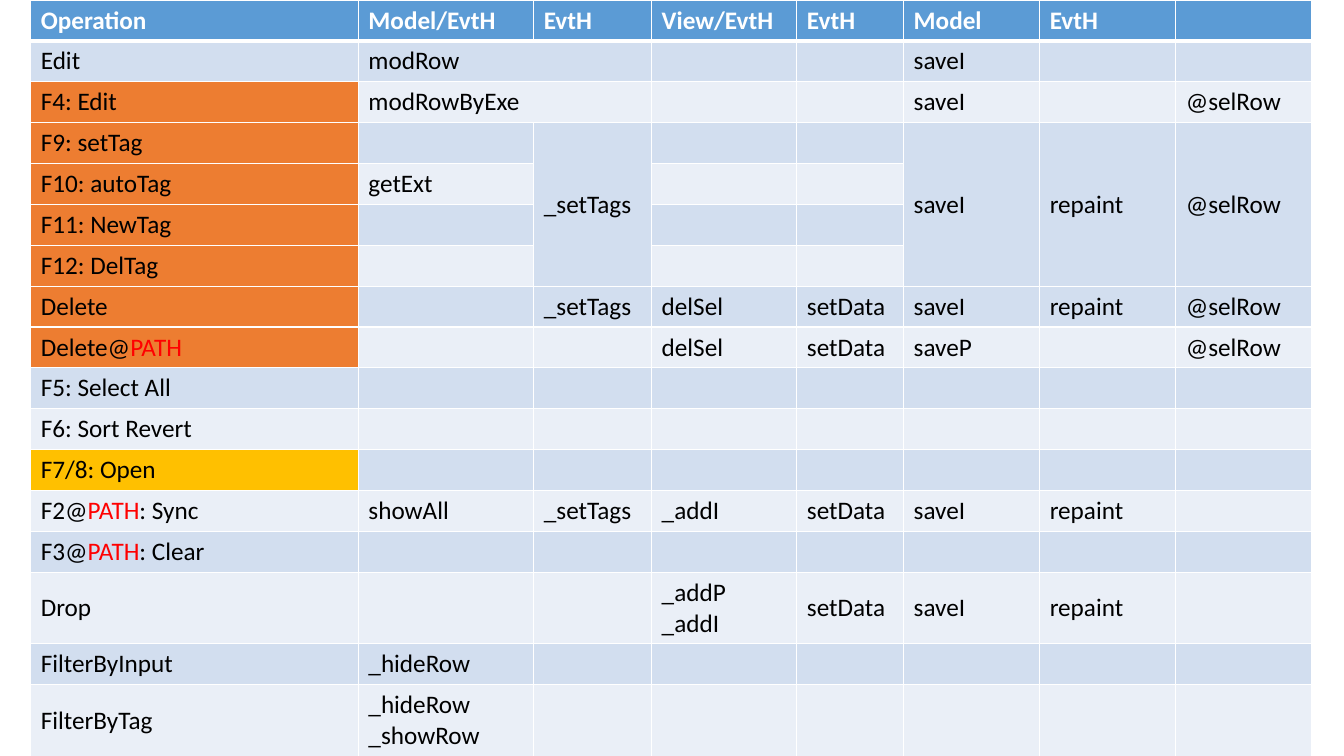
import pptx
import pptx.dml.color
import pptx.enum.text
import pptx.oxml
import pptx.oxml.ns
import pptx.util

Pt = pptx.util.Pt

COLORS = {
    "header": "5B9BD5", "dark band": "D2DEEF", "light band": "EAEFF7",
    "orange": "ED7D31", "gold": "FFC000",
    "white": "FFFFFF", "black": "000000", "red": "FF0000",
}
FONT = "Calibri"
HIGHLIGHT = "PATH"

# Table content: cells are split by "|", paragraphs by a line break
ROWS = [row.split("|") for row in (
    "Operation|Model/EvtH|EvtH|View/EvtH|EvtH|Model|EvtH|",
    "Edit|modRow||||saveI||",
    "F4: Edit|modRowByExe||||saveI||@selRow",
    "F9: setTag||_setTags|||saveI|repaint|@selRow",
    "F10: autoTag|getExt||||||",
    "F11: NewTag|||||||",
    "F12: DelTag|||||||",
    "Delete||_setTags|delSel|setData|saveI|repaint|@selRow",
    "Delete@PATH|||delSel|setData|saveP||@selRow",
    "F5: Select All|||||||",
    "F6: Sort Revert|||||||",
    "F7/8: Open|||||||",
    "F2@PATH: Sync|showAll|_setTags|_addI|setData|saveI|repaint|",
    "F3@PATH: Clear|||||||",
    "Drop|||_addP\n_addI|setData|saveI|repaint|",
    "FilterByInput|_hideRow||||||",
    "FilterByTag|_hideRow\n_showRow||||||",
)]
COLUMN_WIDTHS = [234, 125.3, 84.2, 103.7, 76.3, 97.2, 97.2, 97.2]
LINE_ROW_HEIGHT, TWO_LINE_ROW_HEIGHT = 29.2, 50.8
OPERATION_FILLS = {**{row: "orange" for row in range(2, 9)}, 11: "gold"}
# Merged areas: first row, first column, last row, last column
MERGES = [(1, 1, 1, 2), (2, 1, 2, 2)] + [(3, column, 6, column) for column in (2, 5, 6, 7)]


class SlideBuilder:
    def __init__(self, presentation):
        self.slide = presentation.slides.add_slide(presentation.slide_layouts[6])

    def color(self, name):
        return pptx.dml.color.RGBColor.from_string(COLORS[name])

    def add_run(self, paragraph, text, color, bold):
        run = paragraph.add_run()
        run.text = text
        run.font.name = FONT
        run.font.size = Pt(18)
        run.font.bold = bold
        run.font.color.rgb = self.color(color)

    def add_cell_text(self, cell, text, color, bold):
        frame = cell.text_frame
        for index, line in enumerate(text.split("\n")):
            paragraph = frame.add_paragraph() if index else frame.paragraphs[0]
            before, highlight, after = line.partition(HIGHLIGHT)
            for part, part_color in ((before, color), (highlight, "red"), (after, color)):
                if part:
                    self.add_run(paragraph, part, part_color, bold)

    def add_borders(self, cell, top, bottom):
        properties = cell._tc.get_or_add_tcPr()
        for side, width in (("L", 1), ("R", 1), ("T", top), ("B", bottom)):
            properties.append(pptx.oxml.parse_xml(
                f'<a:ln{side} {pptx.oxml.ns.nsdecls("a")} w="{Pt(width)}"><a:solidFill>'
                f'<a:srgbClr val="{COLORS["white"]}"/></a:solidFill></a:ln{side}>'))

    def style_cell(self, cell, fill, top, bottom):
        self.add_borders(cell, top, bottom)
        cell.fill.solid()
        cell.fill.fore_color.rgb = self.color(fill)
        cell.vertical_anchor = pptx.enum.text.MSO_ANCHOR.MIDDLE

    def add_table(self, left, top, rows, widths, heights, fills, merges):
        frame = self.slide.shapes.add_table(
            len(rows), len(widths), Pt(left), Pt(top), Pt(sum(widths)), Pt(sum(heights)))
        table = frame.table
        for column, width in zip(table.columns, widths):
            column.width = Pt(width)
        for row, height in zip(table.rows, heights):
            row.height = Pt(height)

        # Header and banded body
        for row_index, texts in enumerate(rows):
            header = row_index == 0
            band = "header" if header else "dark band" if row_index % 2 else "light band"
            for column_index, text in enumerate(texts):
                cell = table.cell(row_index, column_index)
                fill = fills.get(row_index, band) if column_index == 0 else band
                self.style_cell(cell, fill, 3 if row_index == 1 else 1, 3 if header else 1)
                self.add_cell_text(cell, text, "white" if header else "black", header)

        # Merged areas
        for first_row, first_column, last_row, last_column in merges:
            table.cell(first_row, first_column).merge(table.cell(last_row, last_column))


presentation = pptx.Presentation()
presentation.slide_width = Pt(960)
presentation.slide_height = Pt(540)

# Operations table
row_heights = [TWO_LINE_ROW_HEIGHT if any("\n" in text for text in row) else LINE_ROW_HEIGHT
               for row in ROWS]
builder = SlideBuilder(presentation)
builder.add_table(22, 0, ROWS, COLUMN_WIDTHS, row_heights, OPERATION_FILLS, MERGES)

presentation.save("out.pptx")
